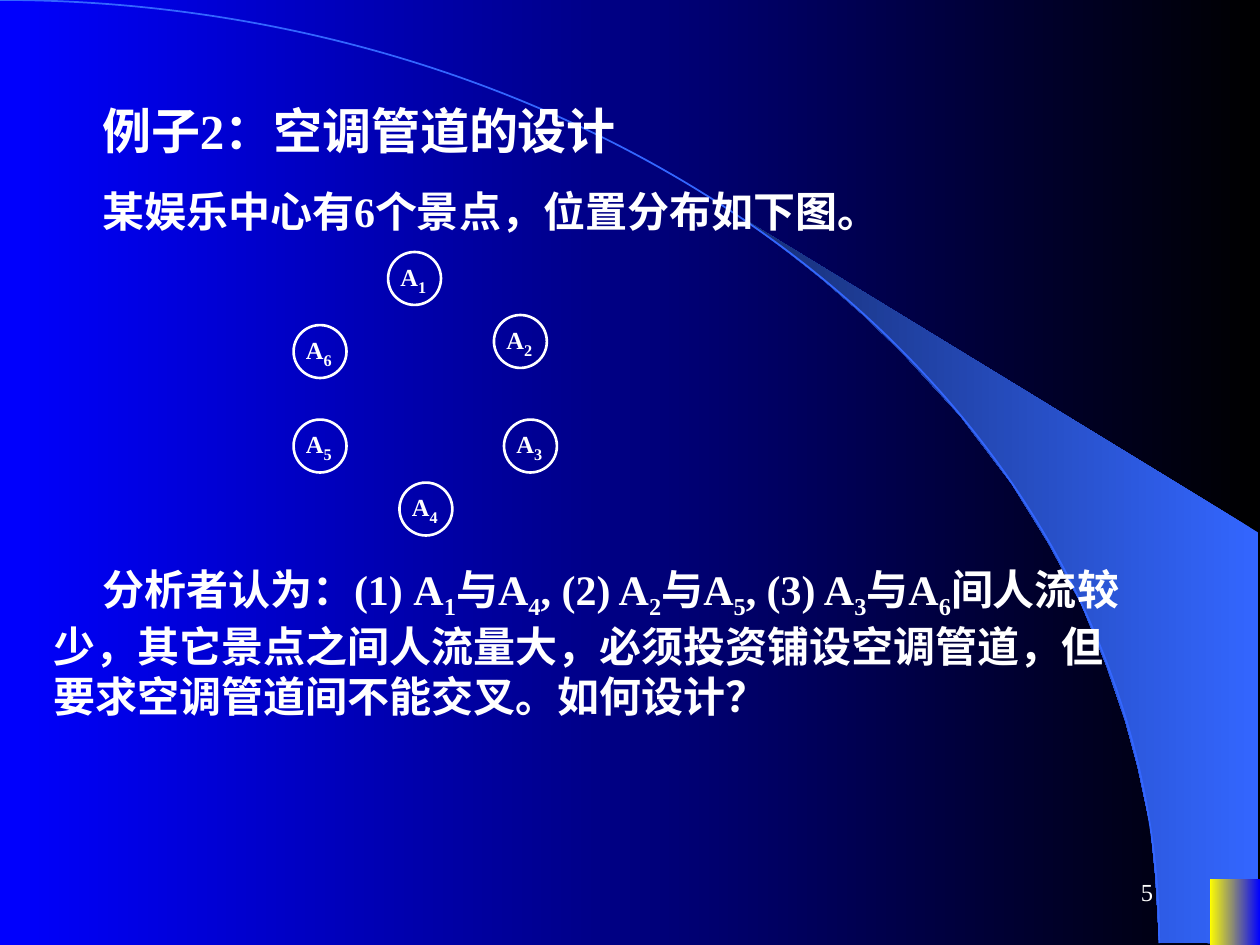
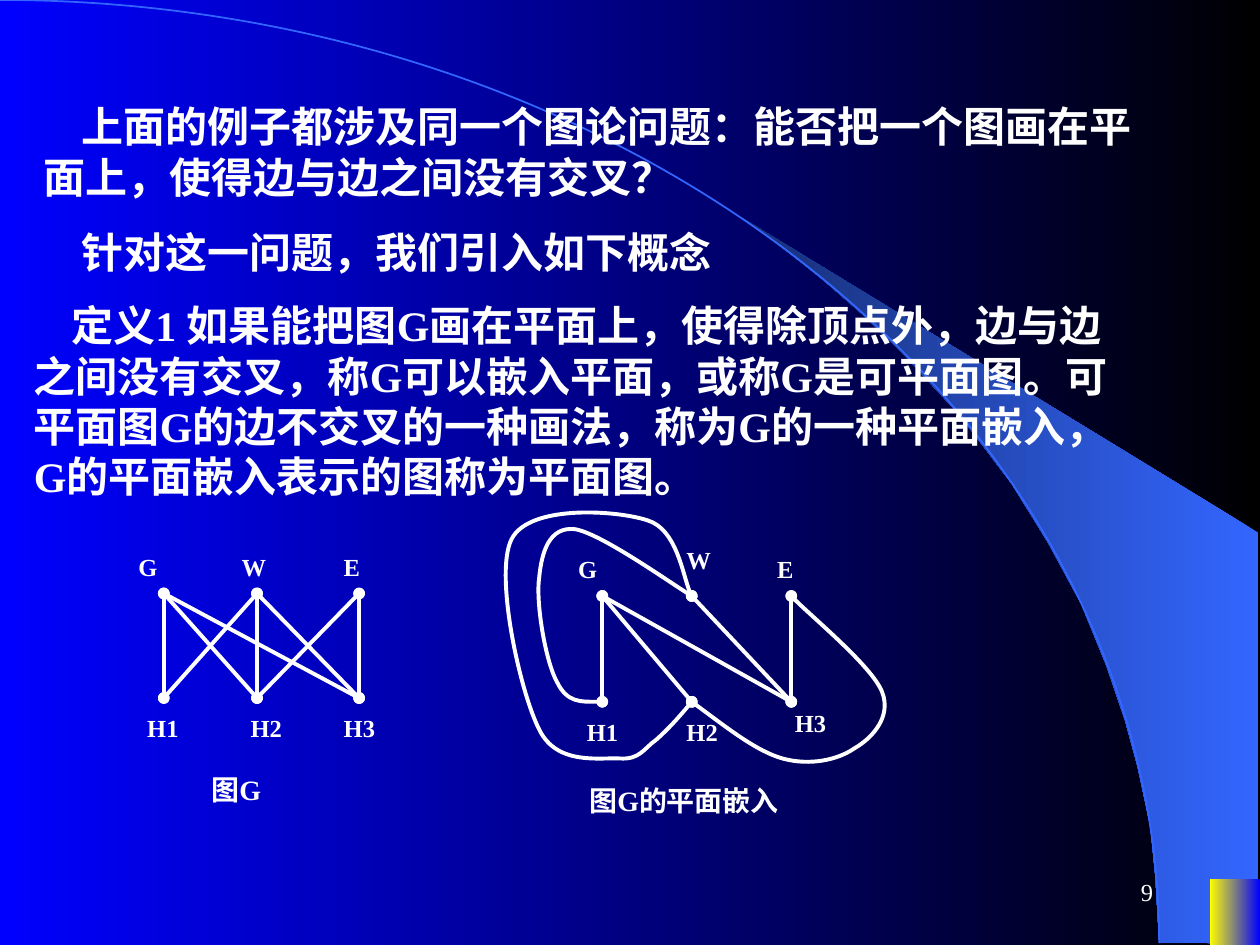
"""Builds two slides on planar graphs: a duct design example and a definition."""
from lxml import etree
from pptx import Presentation
from pptx.dml.color import RGBColor
from pptx.enum.shapes import MSO_CONNECTOR, MSO_SHAPE
from pptx.enum.text import MSO_ANCHOR, MSO_AUTO_SIZE, PP_ALIGN
from pptx.oxml.ns import qn
from pptx.util import Cm, Pt

STRAIGHT = MSO_CONNECTOR.STRAIGHT
ARC, OVAL, RECTANGLE = MSO_SHAPE.ARC, MSO_SHAPE.OVAL, MSO_SHAPE.RECTANGLE
GROW, FIXED = MSO_AUTO_SIZE.SHAPE_TO_FIT_TEXT, MSO_AUTO_SIZE.NONE
MIDDLE, RIGHT = MSO_ANCHOR.MIDDLE, PP_ALIGN.RIGHT

BLACK = RGBColor(0x00, 0x00, 0x00)
WHITE = RGBColor(0xFF, 0xFF, 0xFF)
BLUE = RGBColor(0x00, 0x00, 0xFF)
YELLOW = RGBColor(0xFF, 0xFF, 0x00)
SKY = RGBColor(0x33, 0x66, 0xFF)
NAVY = RGBColor(0x17, 0x2F, 0x75)

FRAME = {"word_wrap": True, "auto_size": GROW}
FONT = {"name": "Times New Roman", "bold": True}

WEDGE = [
    (9.2, 7.48), (9.99, 7.49), (9.99, 4.23), (5.89, 1.73), (6.24, 1.99), (6.53, 2.22),
    (6.85, 2.5), (7.16, 2.8), (7.62, 3.3), (8.03, 3.84), (8.32, 4.31), (8.58, 4.79),
    (8.78, 5.28), (8.93, 5.72), (9.03, 6.09), (9.13, 6.56), (9.17, 6.96),
]
HORIZON = (-9.2, 0, 18.4, 14.97)
CORNER = (9.6, 6.98, 0.4, 0.52)
PAGE_NUMBER = (7.17, 6.83, 2.08, 0.5)

DUCT_TEXTS = [
    ((0.33, 0.75, 8.25, 0.57), "例子2：空调管道的设计", 28, 17.5),
    ((0.33, 1.42, 8.83, 0.5), "某娱乐中心有6个景点，位置分布如下图。", 24, 15),
    ((0.33, 4.42, 8.83, 1.36),
     "分析者认为：(1) A_1与A_4, (2) A_2与A_5, (3) A_3与A_6间人流较少，其它景点之间人流量大，"
     "必须投资铺设空调管道，但要求空调管道间不能交叉。如何设计？", 24, 15),
]
DUCT_INDENT = Cm(0.97)
SPOTS = [(3.08, 2), (3.92, 2.5), (4, 3.33), (3.17, 3.83), (2.33, 3.33), (2.33, 2.58)]
SPOT_SIZE = 0.42

PLANAR_TEXTS = [
    ((0.25, 0.75, 8.84, 0.9),
     "上面的例子都涉及同一个图论问题：能否把一个图画在平面上，使得边与边之间没有交叉？", 24, 15),
    ((0.25, 1.75, 8.84, 0.5), "针对这一问题，我们引入如下概念", 24, 15),
    ((0.17, 2.33, 8.84, 1.7),
     "定义1 如果能把图G画在平面上，使得除顶点外，边与边之间没有交叉，称G可以嵌入平面，"
     "或称G是可平面图。可平面图G的边不交叉的一种画法，称为G的一种平面嵌入，"
     "G的平面嵌入表示的图称为平面图。", 24, 15),
]
PLANAR_INDENT = Cm(0.76)

GRAPHS = [
    {
        "columns": (1.3, 2.04, 2.85), "rows": (4.71, 5.54),
        "edges": ["G-H1", "W-H2", "E-H3", "G-H2", "G-H3", "W-H1", "W-H3", "E-H2"],
        "curves": [],
        "labels": {"G": (1, 4.33), "W": (1.82, 4.33), "E": (2.63, 4.33),
                   "H1": (1.07, 5.61), "H2": (1.89, 5.61), "H3": (2.63, 5.61)},
        "caption": ((1.58, 6.08, 1.1, 0.37), "图G"),
    },
    {
        "columns": (4.78, 5.49, 6.28), "rows": (4.73, 5.57),
        "edges": ["G-H1", "E-H3", "G-H2", "G-H3", "W-H3"],
        "curves": [
            [(4.78, 5.57), (4.64, 5.57), (4.5, 5.58), (4.42, 5.41), (4.33, 5.25),
             (4.25, 4.78), (4.28, 4.58), (4.3, 4.38), (4.36, 4.18), (4.56, 4.2),
             (4.76, 4.23), (5.34, 4.64), (5.49, 4.73)],
            [(5.49, 5.57), (5.4, 5.68), (5.3, 5.79), (5.21, 5.87), (5.11, 5.94),
             (5.08, 6.03), (4.92, 6.02), (4.77, 6.01), (4.42, 6.08), (4.28, 5.79),
             (4.13, 5.5), (3.92, 4.56), (4.06, 4.28), (4.2, 4), (4.9, 4.05),
             (5.14, 4.13), (5.37, 4.2), (5.43, 4.63), (5.49, 4.73)],
            [(5.49, 5.57), (5.75, 5.76), (6, 5.96), (6.21, 6.02), (6.43, 6.08),
             (6.65, 6.03), (6.78, 5.94), (6.92, 5.86), (7.08, 5.69), (7, 5.49),
             (6.92, 5.29), (6.4, 4.86), (6.28, 4.73)],
        ],
        "labels": {"G": (4.49, 4.35), "W": (5.35, 4.28), "E": (6.07, 4.35),
                   "H1": (4.56, 5.64), "H2": (5.35, 5.64), "H3": (6.21, 5.57)},
        "caption": ((4.58, 6.17, 1.83, 0.37), "图G的平面嵌入"),
    },
]


def lengths(inches):
    return [Cm(value * 2.54) for value in inches]


def set_all(target, values):
    for key, value in values.items():
        setattr(target, key, value)


def paint_gradient(fill, *colors):
    fill.gradient()
    fill.gradient_angle = 180
    for stop, color in zip(fill.gradient_stops, colors):
        stop.color.rgb = color


def draw_line(line, color, width, ends=()):
    line.color.rgb = color
    line.width = Pt(width)
    for end in ends:
        etree.SubElement(line._get_or_add_ln(), qn(end), type="oval")


def add_text(slide, box, text, size, before=0, indent=0, sub_size=None, frame=None, font=None):
    """Write text in which each underscore makes the next character a subscript."""
    text_frame = slide.shapes.add_textbox(*lengths(box)).text_frame
    set_all(text_frame, {**FRAME, **(frame or {})})
    paragraph = text_frame.paragraphs[0]
    paragraph.space_before = Pt(before)
    properties = paragraph._p.get_or_add_pPr()
    properties.set("indent", str(int(indent)))
    properties.set("hangingPunct", "0")
    first, *rest = text.split("_")
    pieces = [(first, False)]
    for part in rest:
        pieces += [(part[0], True), (part[1:], False)]
    for piece, lowered in pieces:
        if not piece:
            continue
        run = paragraph.add_run()
        run.text = piece
        set_all(run.font, {**FONT, **(font or {})})
        run.font.size = Pt(sub_size if lowered and sub_size else size)
        run.font.color.rgb = WHITE
        if lowered:
            run._r.get_or_add_rPr().set("baseline", "-25000")
    return paragraph


def add_preset(slide, preset, box):
    preset_shape = slide.shapes.add_shape(preset, *lengths(box))
    preset_shape.shadow.inherit = False
    preset_shape.fill.background()
    return preset_shape


def add_outline(slide, points, close):
    start, *others = [lengths(point) for point in points]
    builder = slide.shapes.build_freeform(*start, scale=1.0)
    builder.add_line_segments(others, close=close)
    outline = builder.convert_to_shape()
    outline.shadow.inherit = False
    return outline


def add_curve(slide, points, ends):
    """Turn every three points after the first into one cubic segment."""
    curve = add_outline(slide, points, close=False)
    outline = curve._element.xpath(".//a:path")[0]
    steps = outline.findall(qn("a:lnTo"))
    for first in range(0, len(steps), 3):
        cubic = etree.SubElement(outline, qn("a:cubicBezTo"))
        for step in steps[first:first + 3]:
            cubic.append(step[0])
            outline.remove(step)
    curve.fill.background()
    draw_line(curve.line, WHITE, 2.25, ends)


def add_slide(prs, number, texts, indent):
    slide = prs.slides.add_slide(prs.slide_layouts[6])
    paint_gradient(slide.background.fill, BLACK, BLUE)
    wedge = add_outline(slide, WEDGE, close=True)
    paint_gradient(wedge.fill, SKY, NAVY)
    wedge.line.fill.background()
    draw_line(add_preset(slide, ARC, HORIZON).line, SKY, 1)
    corner = add_preset(slide, RECTANGLE, CORNER)
    paint_gradient(corner.fill, BLUE, YELLOW)
    corner.line.fill.background()
    for box, text, size, before in texts:
        add_text(slide, box, text, size, before, indent)
    page = add_text(slide, PAGE_NUMBER, number, 14, font={"bold": False},
                    frame={"auto_size": FIXED, "vertical_anchor": MIDDLE})
    page.alignment = RIGHT
    return slide


def add_spots(slide):
    for number, (left, top) in enumerate(SPOTS, 1):
        spot = add_preset(slide, OVAL, (left, top, SPOT_SIZE, SPOT_SIZE))
        draw_line(spot.line, WHITE, 1.5)
        add_text(slide, (left, top, 0.52, 0.41), f"A_{number}", 14, sub_size=16)


def add_graph(slide, graph):
    ends = ("a:headEnd", "a:tailEnd")
    places = [(x, y) for y in graph["rows"] for x in graph["columns"]]
    vertices = dict(zip(graph["labels"], places))
    for pair in graph["edges"]:
        start, finish = (vertices[name] for name in pair.split("-"))
        edge = slide.shapes.add_connector(STRAIGHT, *lengths(start + finish))
        draw_line(edge.line, WHITE, 2.25, ends)
        etree.SubElement(edge._element.spPr, qn("a:effectLst"))
    for name, place in graph["labels"].items():
        add_text(slide, (*place, 0.53, 0.34), name, 14)
    for points in graph["curves"]:
        add_curve(slide, points, ends)
    add_text(slide, *graph["caption"], 16)


def main():
    prs = Presentation()
    prs.slide_width, prs.slide_height = Cm(25.4), Cm(19.05)
    add_spots(add_slide(prs, "5", DUCT_TEXTS, DUCT_INDENT))
    planar = add_slide(prs, "9", PLANAR_TEXTS, PLANAR_INDENT)
    for graph in GRAPHS:
        add_graph(planar, graph)
    prs.save("out.pptx")


if __name__ == "__main__":
    main()
